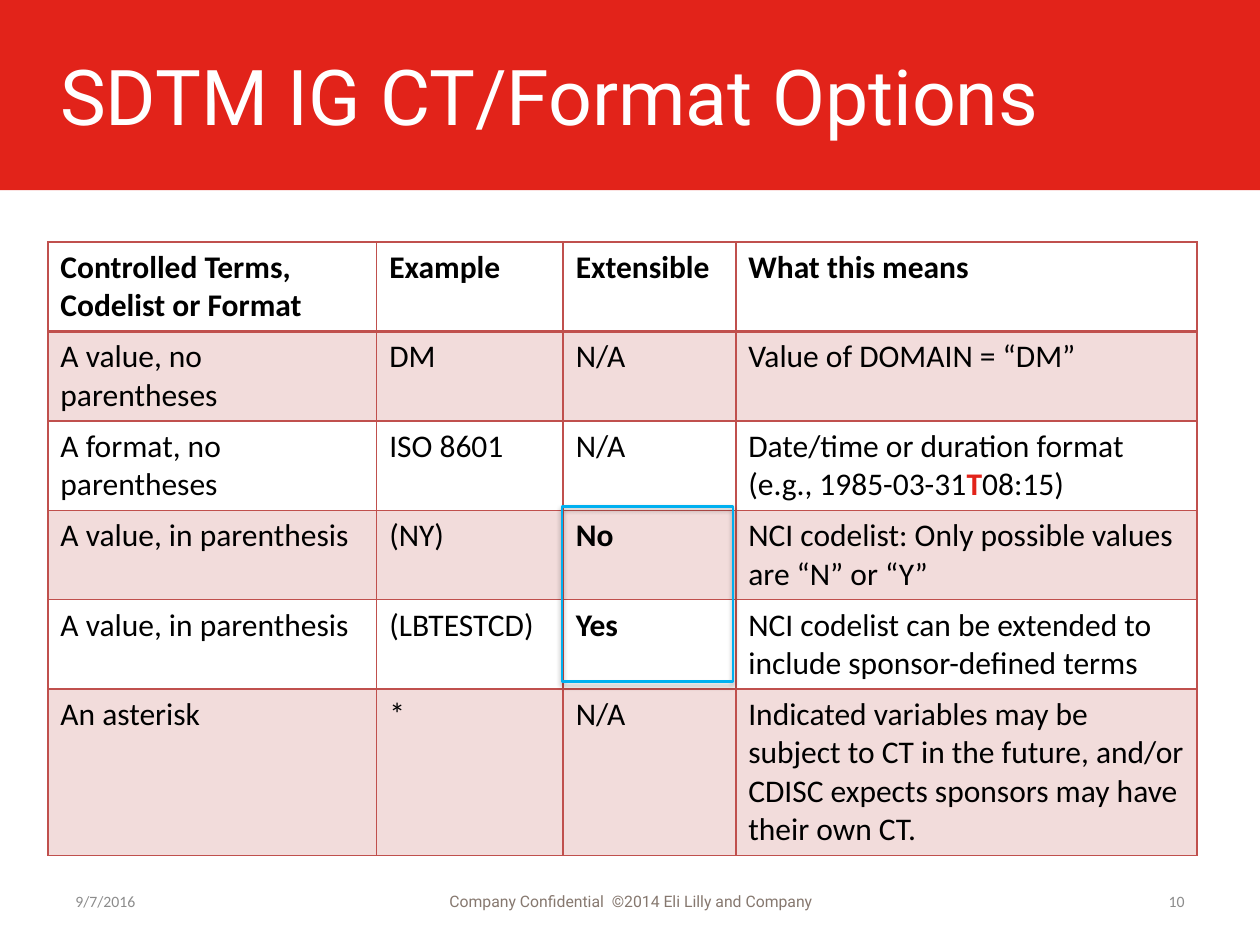
"""Build the slide on SDTM IG controlled terms and format options."""
from dataclasses import dataclass

from lxml.etree import SubElement
from pptx import Presentation
from pptx.dml.color import RGBColor
from pptx.enum.shapes import MSO_SHAPE
from pptx.enum.text import MSO_ANCHOR, PP_ALIGN
from pptx.oxml.ns import qn
from pptx.util import Inches, Pt


@dataclass(frozen=True)
class Theme:
    """Hold the colours, fonts and type sizes."""
    red: str = "E2231A"
    white: str = "FFFFFF"
    black: str = "000000"
    brick: str = "C0504D"
    blue: str = "00B0F0"
    grey: str = "8C8C8C"
    taupe: str = "86786F"
    body: str = "Calibri"
    head: str = "Roboto"
    title: int = 44
    cell: int = 18
    foot: int = 9


THEME = Theme()
COLS = (2.61, 1.48, 1.37, 3.66)
HEIGHTS = (0.71,) * 5 + (1.32,)
ROWS = (
    ("Controlled Terms, Codelist or Format", "Example", "Extensible",
     "What this means"),
    ("A value, no parentheses", "DM", "N/A", "Value of DOMAIN = “DM”"),
    ("A format, no parentheses", "ISO 8601", "N/A",
     "Date/time or duration format (e.g., 1985-03-31|T|08:15)"),
    ("A value, in parenthesis", "(NY)", "No",
     "NCI codelist: Only possible values are “N” or “Y”"),
    ("A value, in parenthesis", "(LBTESTCD)", "Yes",
     "NCI codelist can be extended to include sponsor-defined terms"),
    ("An asterisk", "*", "N/A",
     "Indicated variables may be subject to CT in the future, and/or "
     "CDISC expects sponsors may have their own CT."),
)


def write(frame, text, size, color=THEME.black, font=THEME.body, bold=False,
          align=PP_ALIGN.LEFT):
    """Write text in a frame, with any part between bars in bold red."""
    line = frame.paragraphs[0]
    line.alignment = align
    for i, part in enumerate(text.split("|")):
        run = line.add_run()
        run.text = part
        run.font.size = Pt(size)
        run.font.name = font
        run.font.bold = bold or i % 2 == 1
        run.font.color.rgb = RGBColor.from_string(THEME.red if i % 2 else color)


def add_text(slide, text, left, top, width, height, **form):
    """Add a wrapped text box, centred top to bottom."""
    frame = slide.shapes.add_textbox(
        Inches(left), Inches(top), Inches(width), Inches(height)).text_frame
    frame.word_wrap = True
    frame.vertical_anchor = MSO_ANCHOR.MIDDLE
    write(frame, text, **form)


def add_rect(slide, left, top, width, height):
    """Add a plain rectangle with no shadow."""
    rect = slide.shapes.add_shape(
        MSO_SHAPE.RECTANGLE,
        Inches(left), Inches(top), Inches(width), Inches(height))
    rect.shadow.inherit = False
    return rect


def add_band(slide):
    """Add the red band behind the title."""
    band = add_rect(slide, 0, 0, 10, 1.51)
    band.fill.solid()
    band.fill.fore_color.rgb = RGBColor.from_string(THEME.red)
    band.line.fill.background()


def add_frame(slide):
    """Add the blue outline, with a soft shadow, round the two answers."""
    rect = add_rect(slide, 4.46, 4.02, 1.36, 1.39)
    rect.fill.background()
    rect.line.color.rgb = RGBColor.from_string(THEME.blue)
    rect.line.width = Pt(1.5)
    glow = SubElement(
        rect._element.spPr.find(qn("a:effectLst")), qn("a:outerShdw"),
        blurRad=str(Pt(3.1)), dist=str(Pt(1.8)), dir="5400000", rotWithShape="0")
    tint(SubElement(glow, qn("a:srgbClr"), val=THEME.black), 35)


def tint(color, share):
    """Give a colour element its opacity in percent."""
    SubElement(color, qn("a:alpha"), val=str(share * 1000))


def set_edges(cell, row):
    """Draw the cell borders, thicker below the header row."""
    wide = {"lnT": 2 if row == 1 else 1, "lnB": 2 if row == 0 else 1}
    for side in ("lnL", "lnR", "lnT", "lnB"):
        edge = SubElement(cell._tc.get_or_add_tcPr(), qn(f"a:{side}"),
                          w=str(Pt(wide.get(side, 1))))
        fill = SubElement(edge, qn("a:solidFill"))
        SubElement(fill, qn("a:srgbClr"), val=THEME.brick)


def set_fill(cell, row):
    """Tint the odd rows and leave the others clear."""
    if row % 2:
        cell.fill.solid()
        cell.fill.fore_color.rgb = RGBColor.from_string(THEME.brick)
        tint(cell._tc.tcPr.find(qn("a:solidFill"))[0], 20)
    else:
        cell.fill.background()


def add_grid(slide):
    """Add the table of options."""
    grid = slide.shapes.add_table(
        len(ROWS), len(COLS), Inches(0.38), Inches(1.92),
        Inches(sum(COLS)), Inches(sum(HEIGHTS))).table
    grid.first_row = grid.horz_banding = False
    for col, width in zip(grid.columns, COLS):
        col.width = Inches(width)
    for r, (height, texts) in enumerate(zip(HEIGHTS, ROWS)):
        grid.rows[r].height = Inches(height)
        for c, text in enumerate(texts):
            cell = grid.cell(r, c)
            set_edges(cell, r)
            set_fill(cell, r)
            write(cell.text_frame, text, THEME.cell,
                  bold=r == 0 or text in ("No", "Yes"))


def main():
    """Build and save the slide."""
    deck = Presentation()
    deck.slide_width, deck.slide_height = Inches(10), Inches(7.5)
    slide = deck.slides.add_slide(deck.slide_layouts[6])
    add_band(slide)
    add_text(slide, "SDTM IG CT/Format Options", 0.38, 0.13, 9.29, 1.25,
             size=THEME.title, color=THEME.white, font=THEME.head)
    add_grid(slide)
    add_text(slide, "9/7/2016", 0.5, 6.95, 2.33, 0.4,
             size=THEME.foot, color=THEME.grey)
    add_text(slide, "Company Confidential  ©2014 Eli Lilly and Company",
             3.42, 6.95, 3.17, 0.4, size=THEME.foot, color=THEME.taupe,
             font=THEME.head, align=PP_ALIGN.CENTER)
    add_text(slide, "10", 7.17, 6.95, 2.33, 0.4,
             size=THEME.foot, color=THEME.grey, align=PP_ALIGN.RIGHT)
    add_frame(slide)
    deck.save("out.pptx")


if __name__ == "__main__":
    main()
